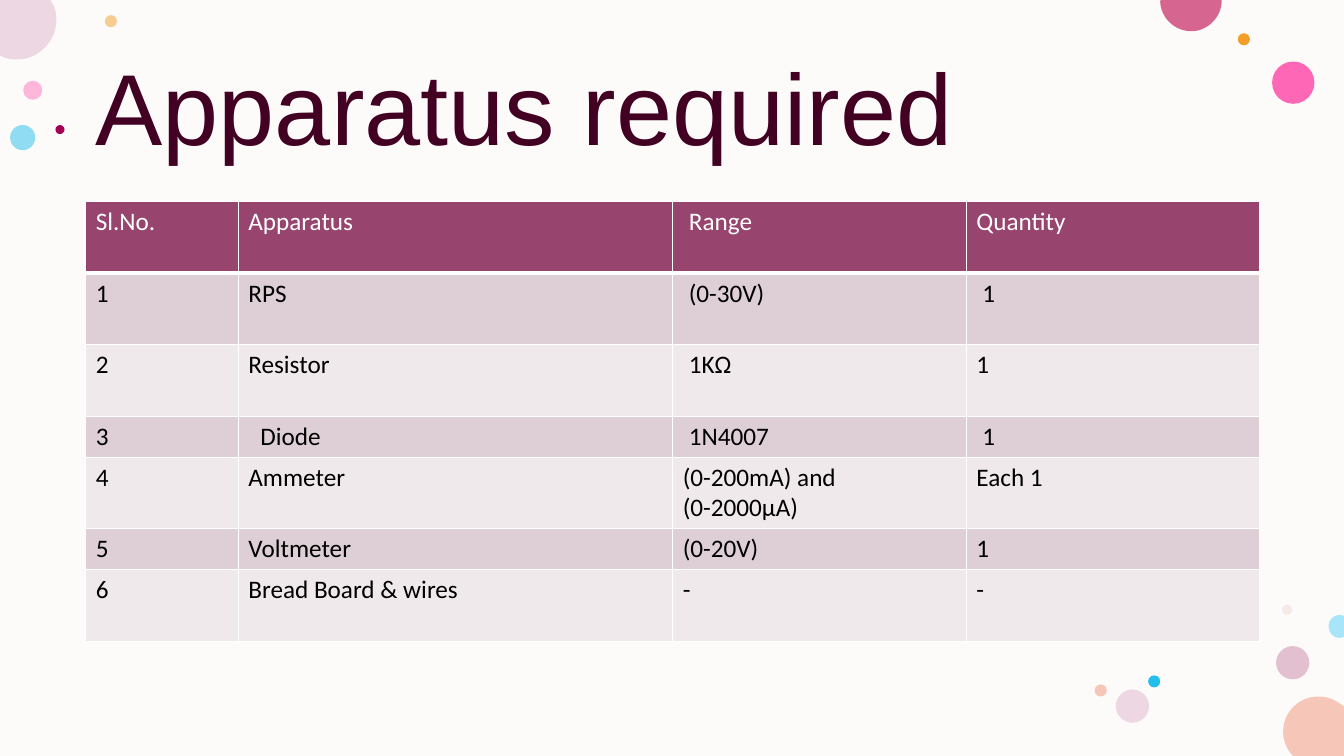
from lxml import etree
from pptx import Presentation
from pptx.dml.color import RGBColor
from pptx.enum.shapes import MSO_SHAPE
from pptx.enum.text import MSO_ANCHOR, MSO_AUTO_SIZE, PP_ALIGN
from pptx.oxml.ns import qn
from pptx.util import Inches, Pt

OVAL = MSO_SHAPE.OVAL
RECTANGLE = MSO_SHAPE.RECTANGLE
MIDDLE = MSO_ANCHOR.MIDDLE
LEFT = PP_ALIGN.LEFT
NO_AUTOFIT = MSO_AUTO_SIZE.NONE

WIDTH, HEIGHT = 40 / 3, 7.5
MARGIN = 0.85
CONTENT_WIDTH = 11.65
TABLE_TOP = 2.0
COLUMN_SHARES = (0.13, 0.37, 0.25, 0.25)
TALL, SHORT = 0.71, 0.4
CELL_INSET = 0.1

# left, top, diameter, colour, opacity in percent
BUBBLES = [
    (0.23, 0.80, 0.19, "FF75BD", 50),
    (1.04, 0.15, 0.12, "F39E29", 50),
    (12.66, 6.41, 0.33, "C987A8", 50),
    (0.10, 1.24, 0.25, "24BEEE", 50),
    (12.62, 0.61, 0.42, "FF2F9C", 72),
    (12.28, 0.33, 0.12, "F39E29", 100),
    (12.72, 6.00, 0.10, "E3BEBE", 28),
    (11.39, 6.70, 0.12, "24BEEE", 100),
    (11.07, 6.84, 0.33, "EDD7E2", 100),
    (10.86, 6.79, 0.12, "F6C7B9", 100),
    (0.55, 1.24, 0.09, "A40056", 100),
]
# colour, start point, then lines (one point) and curves (three points)
EDGE_BUBBLES = [
    ("F6C7B9", (13.08, 6.91), [
        [(13.18, 6.91), (13.26, 6.95), (WIDTH, 7.01)],
        [(WIDTH, 7.02)], [(WIDTH, HEIGHT)], [(12.83, HEIGHT)], [(12.81, 7.48)],
        [(12.76, 7.42), (12.73, 7.34), (12.73, 7.26)],
        [(12.73, 7.06), (12.89, 6.91), (13.08, 6.91)]]),
    ("EDD7E2", (0, 0), [
        [(0.5, 0)], [(0.53, 0.05)],
        [(0.55, 0.09), (0.56, 0.14), (0.56, 0.2)],
        [(0.56, 0.41), (0.38, 0.59), (0.17, 0.59)],
        [(0.11, 0.59), (0.06, 0.58), (0.02, 0.56)],
        [(0, 0.55)]]),
    ("D6658F", (11.52, 0), [
        [(12.12, 0)], [(12.12, 0.01)],
        [(12.12, 0.17), (11.98, 0.31), (11.82, 0.31)],
        [(11.65, 0.31), (11.51, 0.17), (11.51, 0.01)]]),
    ("A7E5F8", (13.29, 6.1), [
        [(WIDTH, 6.11)], [(WIDTH, 6.32)], [(13.29, 6.33)],
        [(13.23, 6.33), (13.18, 6.28), (13.18, 6.21)],
        [(13.18, 6.15), (13.23, 6.1), (13.29, 6.1)]]),
]

# row height, cell texts
ROWS = [
    (TALL, ("Sl.No.", "Apparatus", "Range", "Quantity")),
    (TALL, ("1", "RPS", "(0-30V)", "1")),
    (TALL, ("2", "Resistor", "1KΩ", "1")),
    (SHORT, ("3", "Diode", "1N4007", "1")),
    (TALL, ("4", "Ammeter", "(0-200mA) and\n(0-2000µA)", "Each 1")),
    (SHORT, ("5", "Voltmeter", "(0-20V)", "1")),
    (TALL, ("6", "Bread Board & wires", "-", "-")),
]
# (row, column): extra left inset
INDENTS = {
    (0, 2): 0.06, (1, 2): 0.06, (2, 2): 0.06, (3, 2): 0.06,
    (1, 3): 0.06, (3, 3): 0.06, (3, 1): 0.12,
}


def color(value):
    return RGBColor.from_string(value)


def paint(shape, fill, opacity=100):
    shape.shadow.inherit = False
    shape.line.fill.background()
    shape.fill.solid()
    shape.fill.fore_color.rgb = color(fill)
    if opacity < 100:
        solid = shape.fill._xPr.find(qn("a:solidFill"))
        etree.SubElement(solid[0], qn("a:alpha"), val=str(opacity * 1000))


def add_preset(slide, preset, left, top, width, height, fill, opacity=100):
    box = [Inches(length) for length in (left, top, width, height)]
    paint(slide.shapes.add_shape(preset, *box), fill, opacity)


def add_edge_bubble(slide, fill, start, segments):
    """Draw a circle cut off at the slide's edge, with true curves."""
    builder = slide.shapes.build_freeform(Inches(start[0]), Inches(start[1]))
    for segment in segments:
        points = [(Inches(x), Inches(y)) for x, y in segment]
        builder.add_line_segments(points, close=segment is segments[-1])
    shape = builder.convert_to_shape()
    lines = iter(list(shape._element.iter(qn("a:lnTo"))))
    for segment in segments:
        first, *others = [next(lines) for _ in segment]
        if others:
            curve = etree.Element(qn("a:cubicBezTo"))
            first.addprevious(curve)
            for line in (first, *others):
                curve.append(line[0])
                line.getparent().remove(line)
    paint(shape, fill)


def set_title(slide, text):
    title = slide.shapes.title
    title.left, title.top = Inches(MARGIN), Inches(0.39)
    title.width, title.height = Inches(CONTENT_WIDTH), Inches(1.45)
    frame = title.text_frame
    frame.text = text
    frame.word_wrap = True
    frame.auto_size = NO_AUTOFIT
    frame.vertical_anchor = MIDDLE
    paragraph = frame.paragraphs[0]
    paragraph.alignment = LEFT
    paragraph.line_spacing = 0.9
    paragraph.font.name = "Arial"
    paragraph.font.size = Pt(72)
    paragraph.font.color.rgb = color("420023")


def add_border(cell, side, points):
    properties = cell._tc.get_or_add_tcPr()
    line = etree.SubElement(properties, qn(f"a:ln{side}"), w=str(Pt(points)))
    solid = etree.SubElement(line, qn("a:solidFill"))
    etree.SubElement(solid, qn("a:srgbClr"), val="FFFFFF")


def fill_cell(cell, text, row, column):
    heading = row == 0
    for side in "LRTB":
        under_heading = (heading and side == "B") or (row == 1 and side == "T")
        add_border(cell, side, 3 if under_heading else 1)
    cell.fill.solid()
    band = "DDCFD5" if row % 2 else "EFE9EB"
    cell.fill.fore_color.rgb = color("97446E" if heading else band)
    cell.margin_left = Inches(CELL_INSET + INDENTS.get((row, column), 0))
    cell.text = text
    for paragraph in cell.text_frame.paragraphs:
        paragraph.font.name = "Calibri"
        paragraph.font.size = Pt(18)
        paragraph.font.bold = False
        paragraph.font.color.rgb = color("FFFFFF" if heading else "000000")


def add_apparatus_table(slide):
    height = sum(row_height for row_height, _ in ROWS)
    table = slide.shapes.add_table(
        len(ROWS), len(COLUMN_SHARES), Inches(MARGIN), Inches(TABLE_TOP),
        Inches(CONTENT_WIDTH), Inches(height)).table
    for column, share in zip(table.columns, COLUMN_SHARES):
        column.width = Inches(CONTENT_WIDTH * share)
    for row, (row_height, texts) in enumerate(ROWS):
        table.rows[row].height = Inches(row_height)
        for column, text in enumerate(texts):
            fill_cell(table.cell(row, column), text, row, column)


def main():
    presentation = Presentation()
    presentation.slide_width = Inches(WIDTH)
    presentation.slide_height = Inches(HEIGHT)
    slide = presentation.slides.add_slide(presentation.slide_layouts[5])
    add_preset(slide, RECTANGLE, 0, 0, WIDTH, HEIGHT, "FDFBF9")
    for left, top, diameter, fill, opacity in BUBBLES:
        add_preset(slide, OVAL, left, top, diameter, diameter, fill, opacity)
    for edge_bubble in EDGE_BUBBLES:
        add_edge_bubble(slide, *edge_bubble)
    # The title placeholder comes first, so bring it in front of the backdrop.
    slide.shapes._spTree.append(slide.shapes.title._element)
    set_title(slide, "Apparatus required")
    add_apparatus_table(slide)
    presentation.save("out.pptx")


if __name__ == "__main__":
    main()
